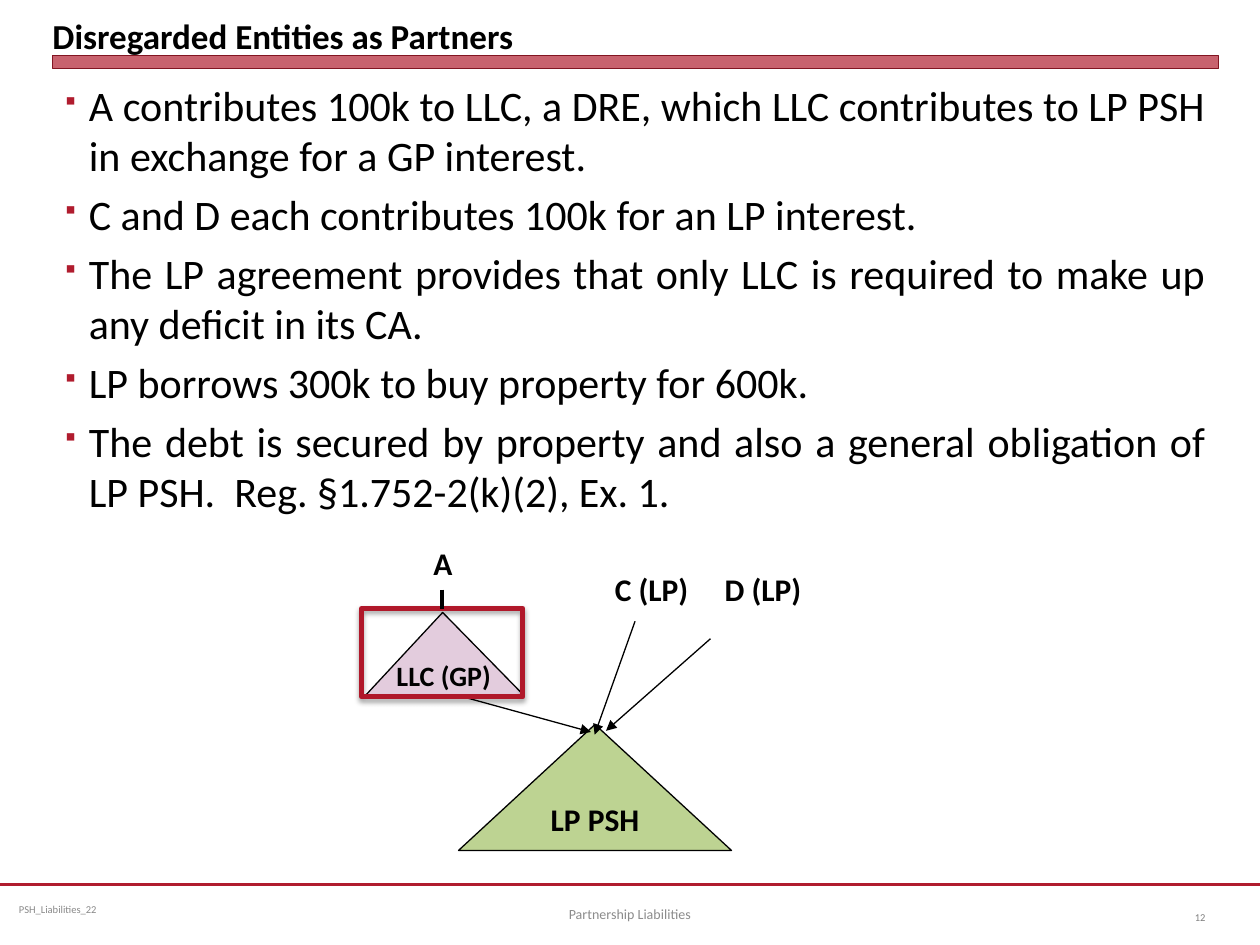
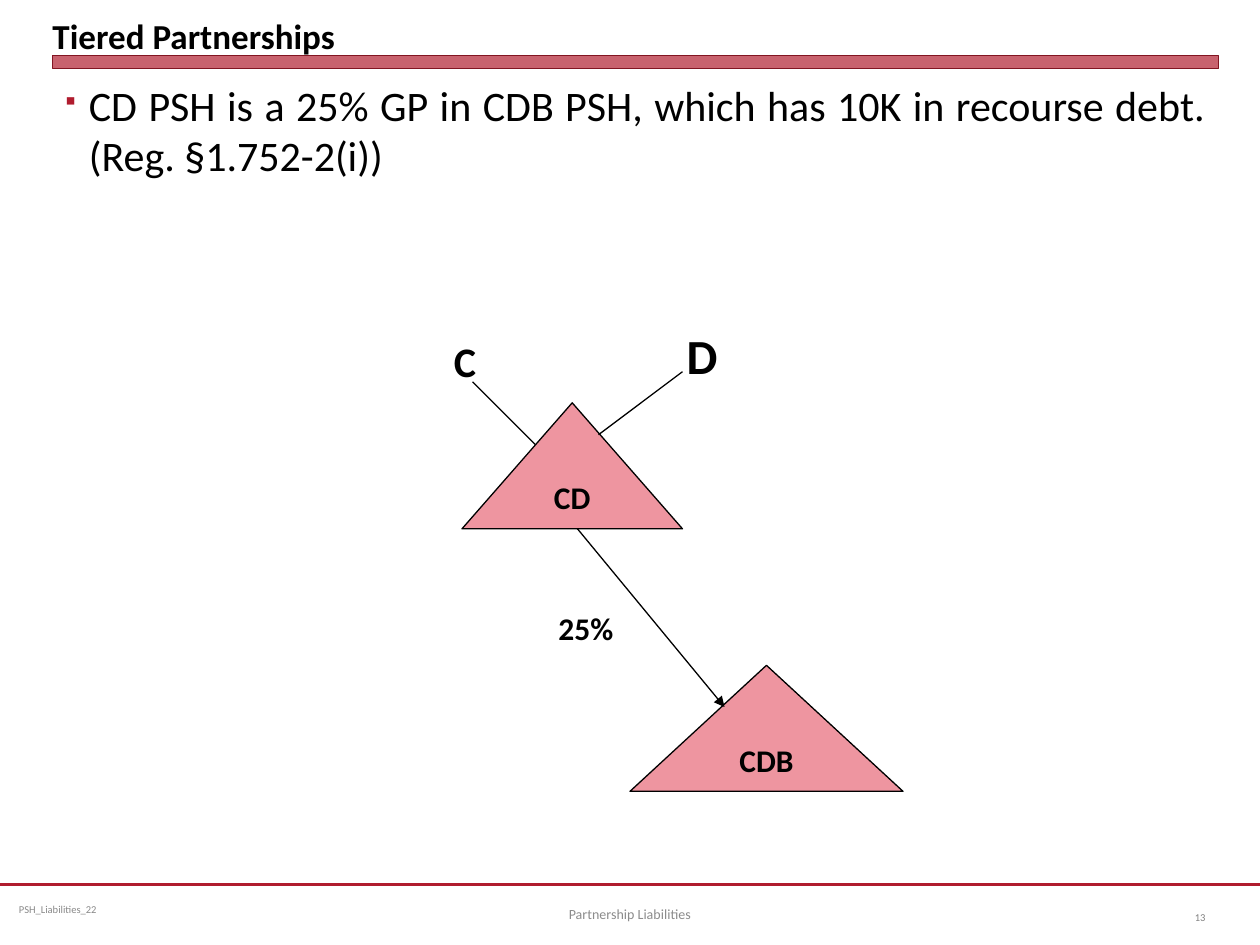
"""Build two slides on partnership liabilities with ownership diagrams."""
from lxml.etree import SubElement
from pptx import Presentation
from pptx.dml.color import RGBColor
from pptx.enum.shapes import MSO_CONNECTOR, MSO_SHAPE
from pptx.enum.text import MSO_ANCHOR, PP_ALIGN
from pptx.oxml.ns import qn
from pptx.util import Pt

COLORS = {
    "red": "B01C2E", "dark red": "821522", "frame": "B0182A", "black": "000000",
    "pink": "EE95A0", "lilac": "E3CCDD", "green": "BDD392",
    "file": "898989", "number": "808080", "subject": "8C8C8C",
}


def rgb(name):
    return RGBColor.from_string(COLORS[name])


def add_xml(parent, tag, **attributes):
    return SubElement(parent, qn(tag), attributes)


class Deck:
    FONT = "Calibri"
    LEFT, WIDTH = 30, 666
    ROW = 28.8
    HANG = 13.7

    def __init__(self):
        self.presentation = Presentation()
        self.presentation.slide_width = Pt(720)
        self.presentation.slide_height = Pt(540)
        self.slide = None

    def start(self, title, number):
        self.slide = self.presentation.slides.add_slide(self.presentation.slide_layouts[5])
        self.line((0, 505.5), (720, 505.5), "red", 1.25)
        self.text("PSH_Liabilities_22", (5.8, 505.5, 186, self.ROW), 6, "file",
                  PP_ALIGN.LEFT, bold=False, insets=(5, 3))
        band = self.shape(MSO_SHAPE.RECTANGLE, (self.LEFT, 31.6, self.WIDTH, 7.4),
                          "red", "dark red", 0.25)
        band_color = band._element.spPr.find(qn("a:solidFill"))[0]
        add_xml(band_color, "a:alpha", val="69000")
        self.title(title)
        self.text(str(number), (660, 510, 36, self.ROW), 6, "number",
                  PP_ALIGN.RIGHT, bold=False)
        self.text("Partnership Liabilities", (246, 507.6, 228, self.ROW), 8, "subject",
                  bold=False)

    def title(self, words):
        heading = self.slide.shapes.title
        heading.left, heading.top = Pt(self.LEFT), Pt(3.4)
        heading.width, heading.height = Pt(self.WIDTH), Pt(self.ROW)
        self.set_words(heading.text_frame, words, 20, align=PP_ALIGN.LEFT,
                       anchor=MSO_ANCHOR.BOTTOM, insets=(0, 0))

    def style(self, paragraph, size, color, align, bold):
        paragraph.alignment = align
        font = paragraph.font
        font.name, font.size, font.bold = self.FONT, Pt(size), bold
        font.color.rgb = rgb(color)

    def set_words(self, frame, words, size, color="black", align=PP_ALIGN.CENTER,
                  bold=True, anchor=MSO_ANCHOR.MIDDLE, insets=(7.2, 3.6), wrap=True):
        frame.text = words
        frame.word_wrap = wrap
        frame.vertical_anchor = anchor
        frame.margin_left = frame.margin_right = Pt(insets[0])
        frame.margin_top = frame.margin_bottom = Pt(insets[1])
        self.style(frame.paragraphs[0], size, color, align, bold)

    def text(self, words, box, size=18, color="black", align=PP_ALIGN.CENTER,
             bold=True, insets=(7.2, 3.6)):
        label = self.slide.shapes.add_textbox(*map(Pt, box))
        self.set_words(label.text_frame, words, size, color, align, bold, insets=insets)

    def bullets(self, points):
        body = self.slide.shapes.add_textbox(Pt(self.LEFT), Pt(41.8), Pt(self.WIDTH), Pt(458))
        frame = body.text_frame
        frame.word_wrap = True
        frame.text = "\n".join(points)
        for paragraph in frame.paragraphs:
            paragraph.space_before = Pt(4.8)
            properties = paragraph._p.get_or_add_pPr()
            properties.set("marL", str(Pt(self.HANG)))
            properties.set("indent", str(-Pt(self.HANG)))
            add_xml(add_xml(properties, "a:buClr"), "a:srgbClr", val=COLORS["red"])
            add_xml(properties, "a:buSzPct", val="60000")
            add_xml(properties, "a:buFont", typeface="Wingdings")
            add_xml(properties, "a:buChar", char="§")
            self.style(paragraph, 24, "black", PP_ALIGN.JUSTIFY, False)

    def shape(self, kind, box, fill, outline, weight):
        figure = self.slide.shapes.add_shape(kind, *map(Pt, box))
        figure.shadow.inherit = False
        if fill:
            figure.fill.solid()
            figure.fill.fore_color.rgb = rgb(fill)
        else:
            figure.fill.background()
        figure.line.color.rgb = rgb(outline)
        figure.line.width = Pt(weight)
        return figure

    def triangle(self, words, box, fill, size=18, apex=0.5):
        entity = self.shape(MSO_SHAPE.ISOSCELES_TRIANGLE, box, fill, "black", 0.75)
        entity.adjustments[0] = apex
        self.set_words(entity.text_frame, words, size, wrap=False)

    def frame(self, box):
        border = self.shape(MSO_SHAPE.RECTANGLE, box, None, "frame", 3)
        effects = border._element.spPr.find(qn("a:effectLst"))
        shadow = add_xml(effects, "a:outerShdw", blurRad=str(Pt(3.1)), dist=str(Pt(1.8)),
                         dir="5400000", rotWithShape="0")
        shade = add_xml(shadow, "a:srgbClr", val=COLORS["black"])
        add_xml(shade, "a:alpha", val="35000")

    def line(self, start, end, color="black", weight=0.75, arrow=False):
        link = self.slide.shapes.add_connector(MSO_CONNECTOR.STRAIGHT, *map(Pt, start + end))
        link.line.color.rgb = rgb(color)
        link.line.width = Pt(weight)
        properties = link._element.spPr
        if arrow:
            add_xml(properties.find(qn("a:ln")), "a:tailEnd", type="triangle")
        add_xml(properties, "a:effectLst")

    def disregarded_entities(self):
        self.start("Disregarded Entities as Partners", 12)
        self.bullets([
            "A contributes 100k to LLC, a DRE, which LLC contributes to LP PSH "
            "in exchange for a GP interest.",
            "C and D each contributes 100k for an LP interest.",
            "The LP agreement provides that only LLC is required to make up "
            "any deficit in its CA.",
            "LP borrows 300k to buy property for 600k.",
            "The debt is secured by property and also a general obligation of "
            "LP PSH.  Reg. §1.752-2(k)(2), Ex. 1.",
        ])
        self.triangle("LLC (GP)", (208.8, 350, 90.7, 47.5), "lilac", 16, 0.487)
        self.triangle("LP PSH", (262, 414, 156, 72), "green")
        self.line((262, 397.5), (337.7, 418.3), arrow=True)
        self.text("D (LP)", (402.5, 322, 67, self.ROW))
        self.text("C (LP)", (337, 322, 70.6, self.ROW))
        self.line((362.9, 355), (339.8, 419.8), arrow=True)
        self.line((406, 365), (346.3, 417.6), arrow=True)
        self.frame((206.6, 347.8, 92.2, 50.4))
        self.text("A", (240.5, 307.5, 25.2, self.ROW))
        self.line((252.7, 337), (252.7, 347.8), weight=2.25)

    def tiered_partnerships(self):
        self.start("Tiered Partnerships", 13)
        self.bullets(["CD PSH is a 25% GP in CDB PSH, which has 10K in recourse debt. "
                      "(Reg. §1.752-2(i))"])
        self.triangle("CD", (264, 230.2, 126, 72), "pink")
        self.triangle("CDB", (360, 380.2, 156, 72), "pink")
        self.line((330, 302.2), (414, 404), arrow=True)
        self.text("25%", (309.6, 344.2, 50.4, self.ROW))
        self.text("D", (383.8, 182.2, 34.6, 41), 28)
        self.text("C", (239.8, 188, 51.8, 36), 24)
        self.line((270, 218.2), (306, 254.2))
        self.line((390, 212.4), (342, 248.4))


deck = Deck()
deck.disregarded_entities()
deck.tiered_partnerships()
deck.presentation.save("out.pptx")
